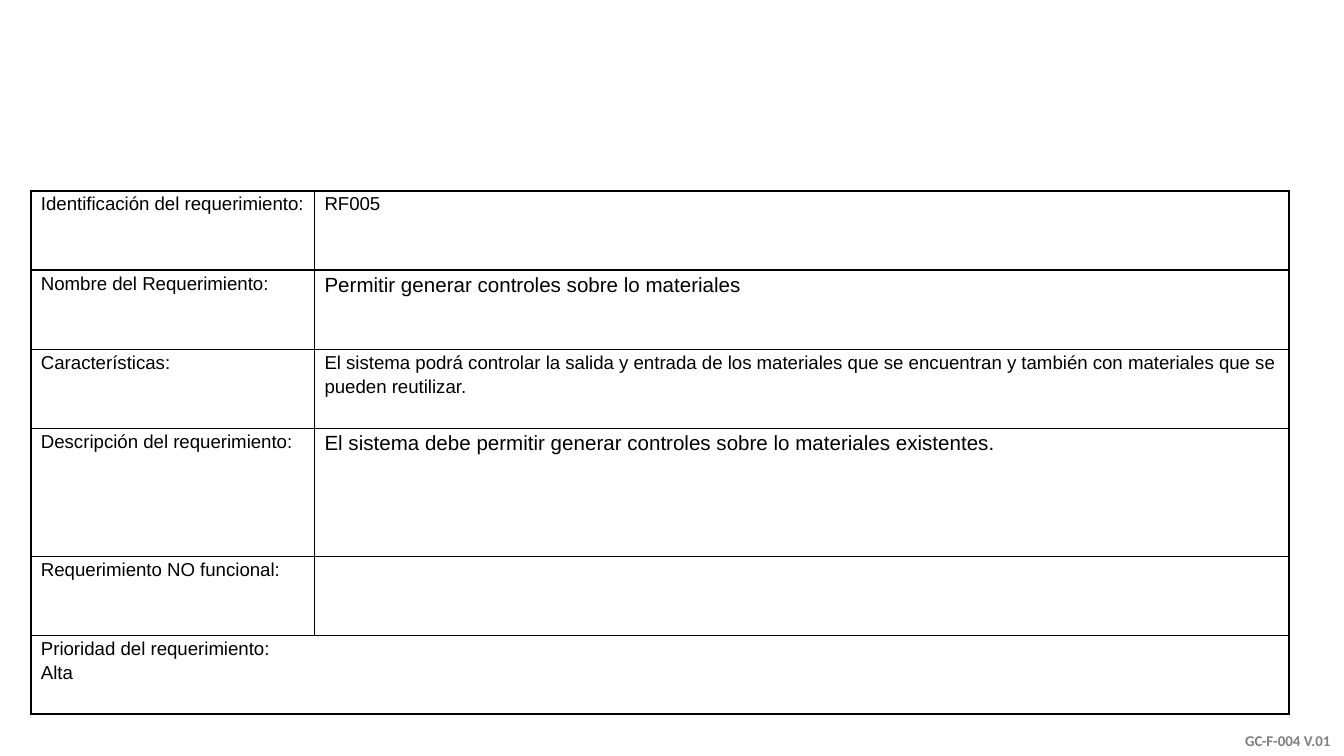
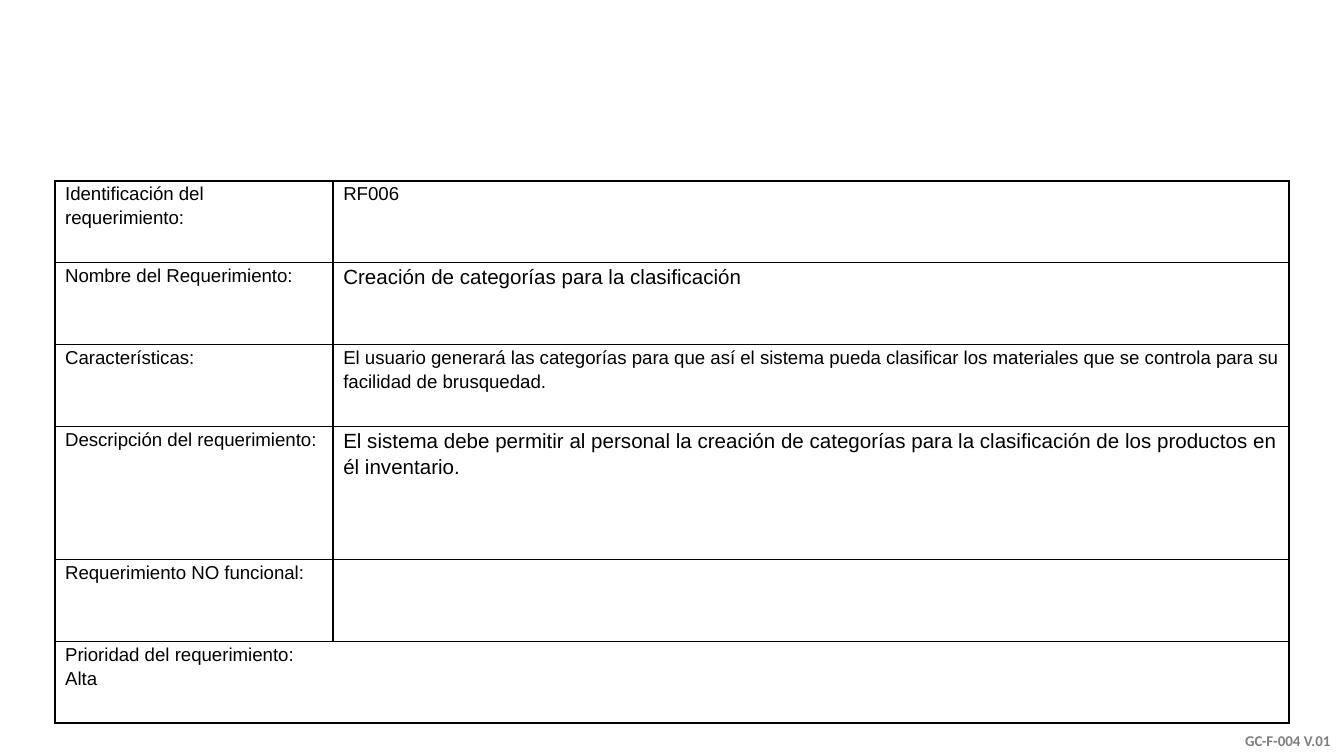
from lxml import etree
from pptx import Presentation
from pptx import util as u
from pptx.dml.color import RGBColor
from pptx.enum import text
from pptx.oxml.ns import qn

PX = 4572  # 200 px to the inch
COLORS = {"ink": "000000", "footer": "7F7F7F", "paper": "FFFFFF"}
LABELS = [
    "Identificación del requerimiento:",
    "Nombre del Requerimiento:",
    "Características:",
    "Descripción del requerimiento:",
    "Requerimiento NO funcional:",
]
VALUE_SIZES = [10, 11, 10, 11, 10]
PRIORITY = ["Prioridad del requerimiento:", "Alta"]

REQUIREMENTS = [
    {
        "left": 46, "top": 284, "columns": [422, 1450],
        "rows": [118, 118, 118, 190, 118, 117],
        "values": [
            "RF005",
            "Permitir generar controles sobre lo materiales",
            "El sistema podrá controlar la salida y entrada de los materiales "
            "que se encuentran y también con materiales que se pueden reutilizar.",
            "El sistema debe permitir generar controles sobre lo materiales existentes.",
            "",
        ],
    },
    {
        "left": 82, "top": 269, "columns": [414, 1422],
        "rows": [122, 122, 122, 198, 122, 121],
        "values": [
            "RF006",
            "Creación de categorías para la clasificación",
            "El usuario generará las categorías para que así el sistema pueda "
            "clasificar los materiales que se controla para su facilidad de brusquedad.",
            "El sistema debe permitir al personal la creación de categorías para "
            "la clasificación de los productos en él inventario.",
            "",
        ],
    },
]


def px(length):
    return u.Emu(length * PX)


def write(frame, lines, size=10, font="Arial", color="ink", bold=False,
          align=None, spacing=None):
    """Fill a text frame with one paragraph per line."""
    for i, line in enumerate(lines):
        paragraph = frame.paragraphs[0] if i == 0 else frame.add_paragraph()
        paragraph.alignment = align
        paragraph.line_spacing = spacing
        paragraph.font.size = u.Pt(size)
        if not line:
            continue
        run = paragraph.add_run()
        run.text = line
        run.font.size = u.Pt(size)
        run.font.name = font
        run.font.bold = bold
        run.font.color.rgb = RGBColor.from_string(COLORS[color])


def style_cell(cell):
    """Plain cell with a thin line on every side."""
    cell.margin_left = cell.margin_right = px(15)
    cell.margin_top = cell.margin_bottom = 0
    properties = cell._tc.get_or_add_tcPr()
    for side in ("a:lnL", "a:lnR", "a:lnT", "a:lnB"):
        line = etree.SubElement(properties, qn(side), w=str(u.Pt(1)))
        fill = etree.SubElement(line, qn("a:solidFill"))
        etree.SubElement(fill, qn("a:srgbClr"), val=COLORS["ink"])
    cell.fill.background()


def add_requirement_table(slide, left, top, columns, rows, values):
    frame = slide.shapes.add_table(len(rows), len(columns), px(left), px(top),
                                   px(sum(columns)), px(sum(rows)))
    table = frame.table
    table.first_row = table.horz_banding = False
    for column, width in zip(table.columns, columns):
        column.width = px(width)
    for row, height in zip(table.rows, rows):
        row.height = px(height)
    for cell in table.iter_cells():
        style_cell(cell)

    # Label and value pairs
    for i, (label, value, size) in enumerate(zip(LABELS, values, VALUE_SIZES)):
        write(table.cell(i, 0).text_frame, [label], spacing=1.15)
        write(table.cell(i, 1).text_frame, [value], size=size, spacing=1.15)

    # Priority spans the whole last row
    last = len(rows) - 1
    priority = table.cell(last, 0)
    priority.merge(table.cell(last, 1))
    write(priority.text_frame, PRIORITY, spacing=1.15)


def add_footer(slide):
    footer = slide.shapes.add_textbox(px(1674), px(1040), px(326), px(85)).text_frame
    footer.word_wrap = True
    footer.vertical_anchor = text.MSO_ANCHOR.BOTTOM
    write(footer, ["GC-F-004 V.01"], size=8, font="Calibri", color="footer",
          bold=True, align=text.PP_ALIGN.RIGHT)


def main():
    deck = Presentation()
    deck.slide_width, deck.slide_height = px(2000), px(1125)
    blank = deck.slide_layouts[6]
    for requirement in REQUIREMENTS:
        slide = deck.slides.add_slide(blank)
        background = slide.background.fill
        background.solid()
        background.fore_color.rgb = RGBColor.from_string(COLORS["paper"])
        add_footer(slide)
        add_requirement_table(slide, **requirement)
    deck.save("out.pptx")


if __name__ == "__main__":
    main()
